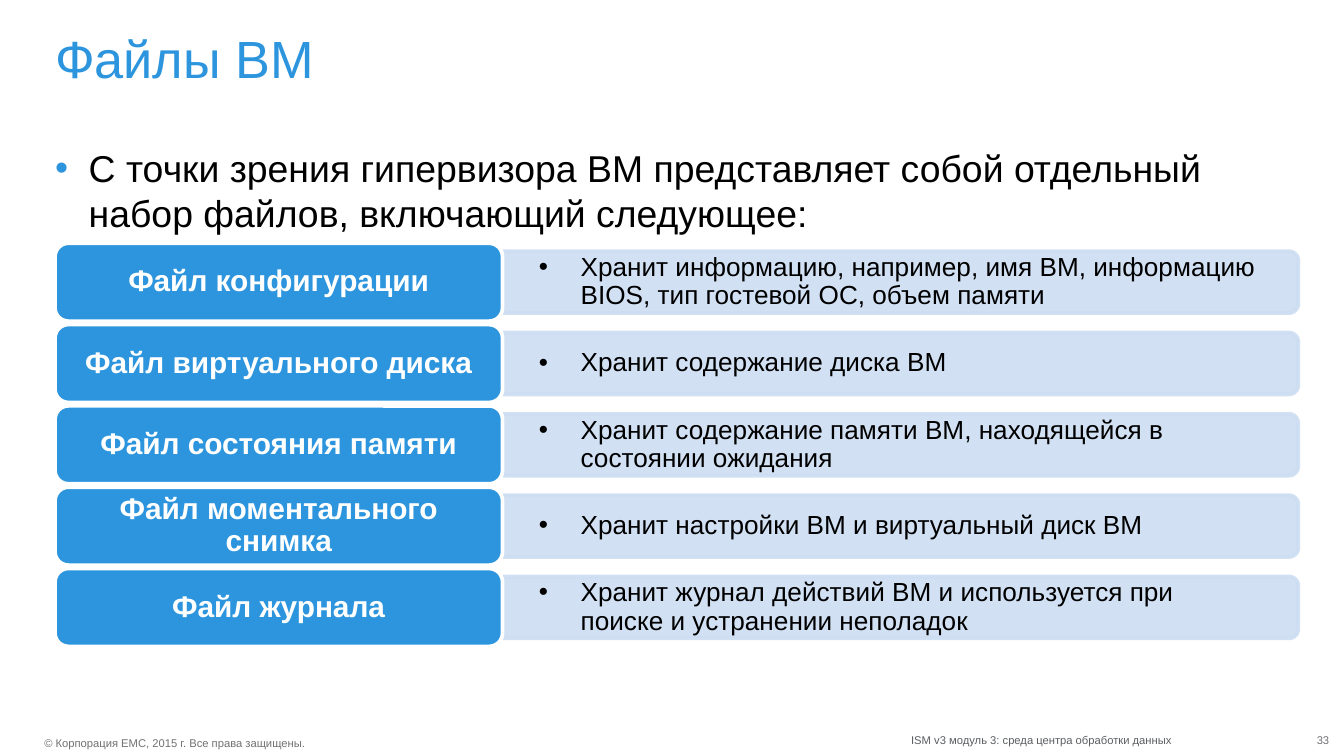
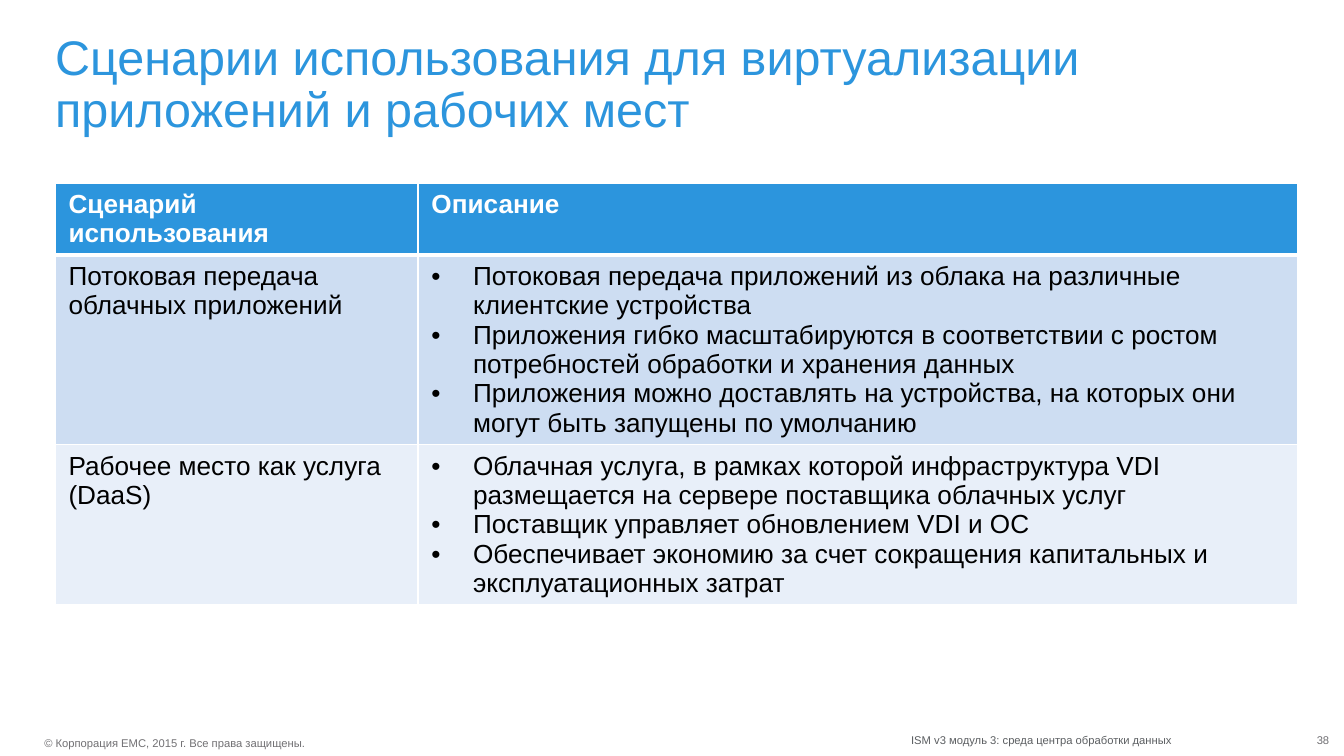
from dataclasses import dataclass
from math import cos, pi, sin

from lxml import etree
from pptx import Presentation
from pptx.dml.color import RGBColor
from pptx.enum.shapes import MSO_SHAPE
from pptx.enum.text import MSO_ANCHOR, MSO_AUTO_SIZE, PP_ALIGN
from pptx.oxml.ns import qn
from pptx.util import Inches, Pt

TOP, MIDDLE = MSO_ANCHOR.TOP, MSO_ANCHOR.MIDDLE
LEFT, CENTER, RIGHT = PP_ALIGN.LEFT, PP_ALIGN.CENTER, PP_ALIGN.RIGHT
NO_AUTOFIT = MSO_AUTO_SIZE.NONE
ROUNDED = MSO_SHAPE.ROUNDED_RECTANGLE

# Shared style
FONT = "Arial"
BLUE = RGBColor(0x2C, 0x95, 0xDD)
PALE_BLUE = RGBColor(0xCD, 0xDD, 0xF2)
LIGHT_BLUE = RGBColor(0xE8, 0xEF, 0xF9)
WHITE = RGBColor(0xFF, 0xFF, 0xFF)
BLACK = RGBColor(0, 0, 0)
COPYRIGHT_GREY = RGBColor(0x71, 0x70, 0x73)
MODULE_GREY = RGBColor(0x5B, 0x5E, 0x61)
NUMBER_GREY = RGBColor(0x71, 0x70, 0x74)

MARGIN, CONTENT_WIDTH = 0.41, 9.25
TITLE_LAYOUT_WITH_BODY, TITLE_LAYOUT_ONLY = 1, 5
ITEM_INDENT = 0.31

# Row geometry of the file list
FIRST_ROW_TOP, LAST_ROW_TOP = 1.81, 4.23
LABEL_WIDTH, LABEL_HEIGHT, LABEL_RADIUS = 3.33, 0.58, 0.1
BAR_HEIGHT, BAR_RADIUS, BAR_OPACITY = 0.46, 0.07, 90
ARC_STEPS = 8


@dataclass(frozen=True)
class VmFile:
    name: str
    purpose: str


@dataclass(frozen=True)
class UseCase:
    name: str
    benefits: tuple[str, ...]
    fill: RGBColor


@dataclass(frozen=True)
class Footer:
    text: str
    left: float
    top: float
    width: float
    color: RGBColor
    align: PP_ALIGN = LEFT
    wrap: bool = False


VM_FILES = (
    VmFile("Файл конфигурации",
           "Хранит информацию, например, имя ВМ, информацию BIOS, "
           "тип гостевой ОС, объем памяти"),
    VmFile("Файл виртуального диска", "Хранит содержание диска ВМ"),
    VmFile("Файл состояния памяти",
           "Хранит содержание памяти ВМ, находящейся в состоянии ожидания"),
    VmFile("Файл моментального снимка",
           "Хранит настройки ВМ и виртуальный диск ВМ"),
    VmFile("Файл журнала",
           "Хранит журнал действий ВМ и используется при поиске "
           "и устранении неполадок"),
)

USE_CASES = (
    UseCase("Потоковая передача облачных приложений", (
        "Потоковая передача приложений из облака на различные "
        "клиентские устройства",
        "Приложения гибко масштабируются в соответствии с ростом "
        "потребностей обработки и хранения данных",
        "Приложения можно доставлять на устройства, на которых они "
        "могут быть запущены по умолчанию",
    ), PALE_BLUE),
    UseCase("Рабочее место как услуга (DaaS)", (
        "Облачная услуга, в рамках которой инфраструктура VDI "
        "размещается на сервере поставщика облачных услуг",
        "Поставщик управляет обновлением VDI и ОС",
        "Обеспечивает экономию за счет сокращения капитальных "
        "и эксплуатационных затрат",
    ), LIGHT_BLUE),
)


def add_bullet(paragraph, indent: float, color: RGBColor) -> None:
    properties = paragraph._p.get_or_add_pPr()
    properties.set("marL", str(Inches(indent)))
    properties.set("indent", str(-Inches(indent)))
    bullet_color = etree.SubElement(properties, qn("a:buClr"))
    etree.SubElement(bullet_color, qn("a:srgbClr"), val=str(color))
    etree.SubElement(properties, qn("a:buFont"), typeface=FONT)
    etree.SubElement(properties, qn("a:buChar"), char="•")


def write(frame, *lines: str, size: float, color: RGBColor = BLACK,
          bold: bool = False, align: PP_ALIGN = LEFT, spacing: float = 1.0,
          indent: float = 0, bullet_color: RGBColor = BLACK,
          level: int = 0) -> None:
    for index, line in enumerate(lines):
        paragraph = frame.add_paragraph() if index else frame.paragraphs[0]
        paragraph.level = level
        if indent:
            add_bullet(paragraph, indent, bullet_color)
        paragraph.alignment = align
        paragraph.line_spacing = spacing
        paragraph.space_before = Pt(0)
        run = paragraph.add_run()
        run.text = line
        run.font.name = FONT
        run.font.size = Pt(size)
        run.font.bold = bold
        run.font.color.rgb = color


def prepare_frame(frame, insets: tuple[float, ...] = (0, 0, 0, 0),
                  anchor: MSO_ANCHOR = TOP, wrap: bool = True) -> None:
    (frame.margin_left, frame.margin_top,
     frame.margin_right, frame.margin_bottom) = map(Inches, insets)
    frame.vertical_anchor = anchor
    frame.auto_size = NO_AUTOFIT
    frame.word_wrap = wrap


def place(shape, left: float, top: float, width: float, height: float) -> None:
    shape.left, shape.top = Inches(left), Inches(top)
    shape.width, shape.height = Inches(width), Inches(height)


def paint(shape, fill: RGBColor, line: RGBColor,
          opacity: int | None = None) -> None:
    shape.shadow.inherit = False
    shape.fill.solid()
    shape.fill.fore_color.rgb = fill
    shape.line.color.rgb = line
    shape.line.width = Pt(2)
    if opacity is not None:
        for color in shape._element.spPr.iter(qn("a:srgbClr")):
            etree.SubElement(color, qn("a:alpha"), val=str(opacity * 1000))


def add_content_slide(deck, layout: int, title: str, title_size: float,
                      number: int):
    slide = deck.slides.add_slide(deck.slide_layouts[layout])
    place(slide.shapes.title, MARGIN, 0.25, CONTENT_WIDTH, 0.5)
    frame = slide.shapes.title.text_frame
    prepare_frame(frame)
    write(frame, title, size=title_size, color=BLUE, spacing=0.9)

    # Footer line
    footers = (
        Footer("© Корпорация EMC, 2015 г. Все права защищены.",
               0.33, 5.48, 1.97, COPYRIGHT_GREY),
        Footer("ISM v3 модуль 3: среда центра обработки данных",
               6.78, 5.46, 1.97, MODULE_GREY),
        Footer(str(number), 9.58, 5.46, 0.31, NUMBER_GREY, RIGHT, True),
    )
    for footer in footers:
        box = slide.shapes.add_textbox(Inches(footer.left), Inches(footer.top),
                                       Inches(footer.width), Inches(0.1))
        prepare_frame(box.text_frame, wrap=footer.wrap)
        write(box.text_frame, footer.text, size=6, color=footer.color,
              align=footer.align)
    return slide


def add_purpose_bar(slide, purpose: str, top: float) -> None:
    """Draw a bar with only its right corners rounded."""
    left, right = MARGIN + LABEL_WIDTH, MARGIN + CONTENT_WIDTH
    bottom = top + BAR_HEIGHT
    points = []
    for center_y, start in ((top + BAR_RADIUS, -pi / 2),
                            (bottom - BAR_RADIUS, 0)):
        for step in range(ARC_STEPS + 1):
            angle = start + pi / 2 * step / ARC_STEPS
            points.append((Inches(right - BAR_RADIUS + BAR_RADIUS * cos(angle)),
                           Inches(center_y + BAR_RADIUS * sin(angle))))
    points.append((Inches(left), Inches(bottom)))
    outline = slide.shapes.build_freeform(Inches(left), Inches(top))
    outline.add_line_segments(points, close=True)
    bar = outline.convert_to_shape()
    paint(bar, PALE_BLUE, PALE_BLUE, BAR_OPACITY)
    prepare_frame(bar.text_frame, (0.27, 0.16, 0.29, 0.16), MIDDLE)
    write(bar.text_frame, purpose, size=14, spacing=0.9,
          indent=ITEM_INDENT, level=1)


def add_file_label(slide, name: str, top: float) -> None:
    label = slide.shapes.add_shape(ROUNDED, Inches(MARGIN), Inches(top),
                                   Inches(LABEL_WIDTH), Inches(LABEL_HEIGHT))
    label.adjustments[0] = LABEL_RADIUS / LABEL_HEIGHT
    paint(label, BLUE, WHITE)
    prepare_frame(label.text_frame, (0.06, 0.03, 0.06, 0.03), MIDDLE)
    write(label.text_frame, name, size=16, color=WHITE, bold=True,
          align=CENTER, spacing=0.9)


def build_vm_files(deck) -> None:
    slide = add_content_slide(deck, TITLE_LAYOUT_WITH_BODY, "Файлы ВМ", 28, 33)
    intro = slide.placeholders[1]
    place(intro, MARGIN, 1.08, CONTENT_WIDTH, 3.75)
    prepare_frame(intro.text_frame)
    write(intro.text_frame,
          "С точки зрения гипервизора ВМ представляет собой отдельный "
          "набор файлов, включающий следующее:",
          size=20, indent=0.25, bullet_color=BLUE)

    pitch = (LAST_ROW_TOP - FIRST_ROW_TOP) / (len(VM_FILES) - 1)
    for row, vm_file in enumerate(VM_FILES):
        top = FIRST_ROW_TOP + row * pitch
        add_purpose_bar(slide, vm_file.purpose,
                        top + (LABEL_HEIGHT - BAR_HEIGHT) / 2)
        add_file_label(slide, vm_file.name, top)


def style_cell(cell, fill: RGBColor, top_border: float = 1,
               bottom_border: float = 1) -> None:
    properties = cell._tc.get_or_add_tcPr()
    for side, width in (("L", 1), ("R", 1), ("T", top_border),
                        ("B", bottom_border)):
        border = etree.SubElement(properties, qn(f"a:ln{side}"),
                                  w=str(Pt(width)))
        solid = etree.SubElement(border, qn("a:solidFill"))
        etree.SubElement(solid, qn("a:srgbClr"), val=str(WHITE))
    cell.fill.solid()
    cell.fill.fore_color.rgb = fill


def build_use_cases(deck) -> None:
    slide = add_content_slide(
        deck, TITLE_LAYOUT_ONLY,
        "Сценарии использования для виртуализации приложений и рабочих мест",
        26, 38)
    holder = slide.shapes.add_table(
        len(USE_CASES) + 1, 2, Inches(MARGIN), Inches(1.36),
        Inches(CONTENT_WIDTH), Inches(3.17))
    table = holder.table
    for column, width in zip(table.columns, (2.7, 6.55)):
        column.width = Inches(width)
    for row in table.rows:
        row.height = Inches(0.41)
    holder.height = Inches(3.17)

    # Header row
    for column, heading in enumerate(("Сценарий использования", "Описание")):
        cell = table.cell(0, column)
        style_cell(cell, BLUE, bottom_border=3)
        write(cell.text_frame, heading, size=14, color=WHITE, bold=True)

    # Use case rows
    for row, use_case in enumerate(USE_CASES, start=1):
        name, description = table.cell(row, 0), table.cell(row, 1)
        for cell in (name, description):
            style_cell(cell, use_case.fill, top_border=3 if row == 1 else 1)
        write(name.text_frame, use_case.name, size=14)
        write(description.text_frame, *use_case.benefits, size=14,
              indent=ITEM_INDENT)


def main() -> None:
    deck = Presentation()
    # Widescreen, 16:9
    deck.slide_width = Inches(10)
    deck.slide_height = deck.slide_width * 9 // 16
    build_vm_files(deck)
    build_use_cases(deck)
    deck.save("out.pptx")


if __name__ == "__main__":
    main()
